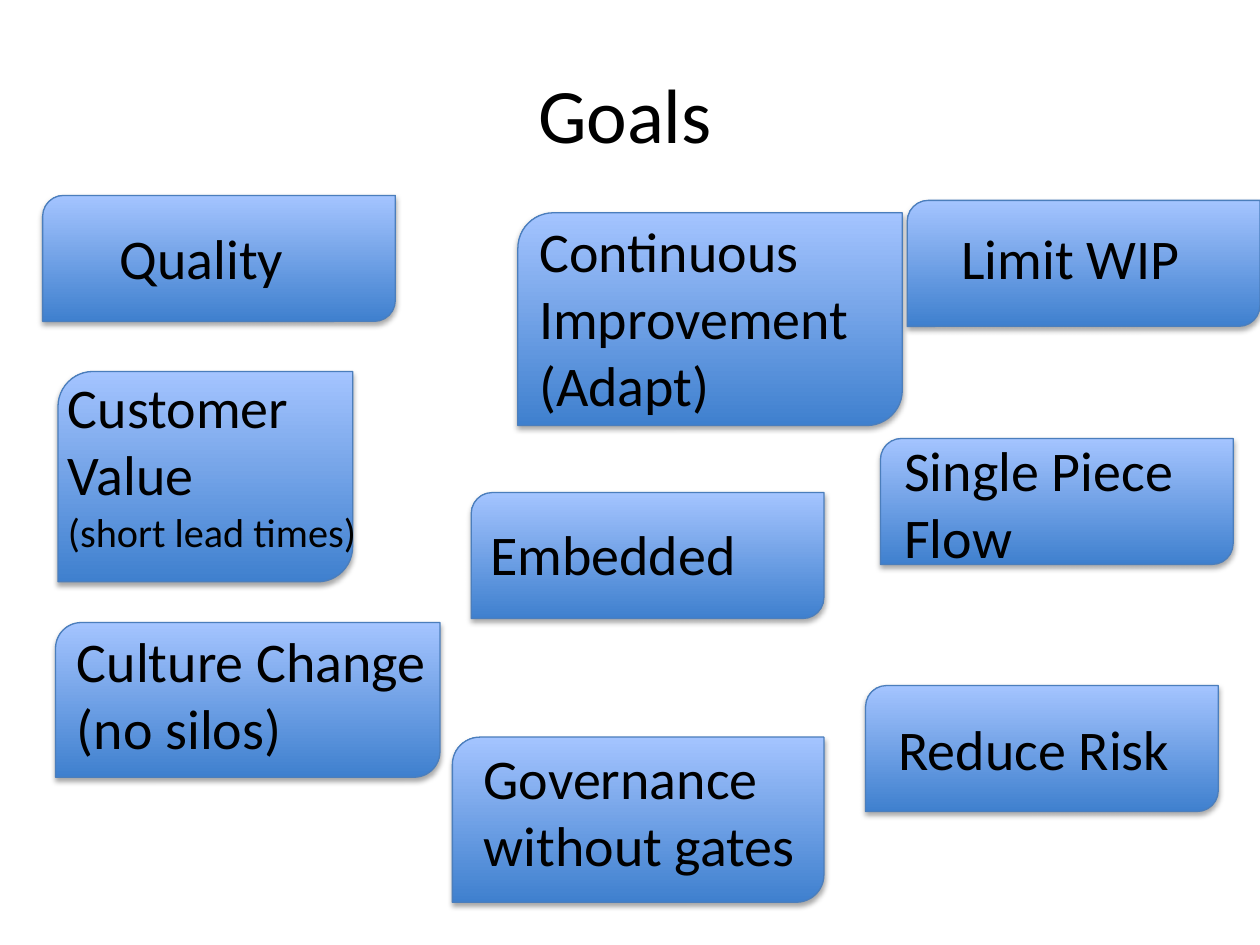
from lxml import etree
from pptx import Presentation
from pptx import util as u
from pptx.dml.color import RGBColor
from pptx.enum import shapes, text
from pptx.oxml import ns

BLACK = RGBColor(0x00, 0x00, 0x00)
DEEP_BLUE = RGBColor(0x3F, 0x80, 0xCE)
PALE_BLUE = RGBColor(0xA4, 0xC4, 0xFF)
EDGE_BLUE = RGBColor(0x4B, 0x7E, 0xBC)

LARGE, SMALL = 32, 23
PANEL = (7.11, 2.54)
ONE_LINE = (7.11, 1.63)
TWO_LINES = (7.11, 3)

GOALS = [
    ((0.86, 3.94, *PANEL), (2.16, 4.39, 4.14, 2.16), [("Quality", LARGE)]),
    ((17.45, 13.82, *PANEL), (17.86, 14.27, *ONE_LINE), [("Reduce Risk", LARGE)]),
    ((1.12, 12.55, 7.75, 3.12), (1.3, 12.5, 8.51, 3),
     [("Culture Change (no silos)", LARGE)]),
    ((10.44, 4.29, 7.75, 4.29), (10.62, 4.24, 8.51, 4.37),
     [("Continuous Improvement", LARGE), ("(Adapt)", LARGE)]),
    ((1.17, 7.49, 5.94, 4.24), (1.12, 7.39, 6.43, 3.99),
     [("Customer", LARGE), ("Value", LARGE), ("(short lead times)", SMALL)]),
    ((9.5, 9.93, *PANEL), (9.63, 10.34, *ONE_LINE), [("Embedded", LARGE)]),
    ((9.12, 14.86, 7.49, 3.33), (9.5, 14.86, *TWO_LINES),
     [("Governance without gates", LARGE)]),
    ((17.75, 8.84, *PANEL), (17.98, 8.66, *TWO_LINES), [("Single Piece Flow", LARGE)]),
    ((18.29, 4.04, *PANEL), (19.13, 4.39, 5.77, 1.63), [("Limit WIP", LARGE)]),
]


def apply(target, values):
    for name, value in values.items():
        setattr(target, name, value)


def lengths(box):
    return [u.Cm(value) for value in box]


class GoalSlide:
    font_name = "Calibri"

    def __init__(self, slide):
        self.slide = slide

    def style_font(self, font, size):
        apply(font, {"name": self.font_name, "size": u.Pt(size)})
        font.color.rgb = BLACK

    def title(self, box, wording, size):
        shape = self.slide.shapes.title
        apply(shape, dict(zip(("left", "top", "width", "height"), lengths(box))))
        shape.text_frame.vertical_anchor = text.MSO_ANCHOR.MIDDLE
        paragraph = shape.text_frame.paragraphs[0]
        apply(paragraph, {"text": wording, "alignment": text.PP_ALIGN.CENTER})
        self.style_font(paragraph.runs[0].font, size)

    def panel(self, box):
        shape = self.slide.shapes.add_shape(
            shapes.MSO_SHAPE.ROUND_2_DIAG_RECTANGLE, *lengths(box))
        shape.fill.gradient()
        shape.fill.gradient_angle = 90
        for stop, color, position in zip(
                shape.fill.gradient_stops, (DEEP_BLUE, PALE_BLUE), (0, 1)):
            stop.color.rgb = color
            stop.position = position
        shape.line.color.rgb = EDGE_BLUE
        shape.line.width = u.Pt(0.75)
        self.shadow(shape)

    def shadow(self, shape):
        shape.shadow.inherit = False
        effects = shape._element.spPr.find(ns.qn("a:effectLst"))
        outer = etree.SubElement(
            effects, ns.qn("a:outerShdw"), blurRad="40000", dist="23000",
            dir="5400000", rotWithShape="0")
        color = etree.SubElement(outer, ns.qn("a:srgbClr"), val=str(BLACK))
        etree.SubElement(color, ns.qn("a:alpha"), val="35000")

    def label(self, box, lines):
        frame = self.slide.shapes.add_textbox(*lengths(box)).text_frame
        apply(frame, {"word_wrap": True,
                      "auto_size": text.MSO_AUTO_SIZE.SHAPE_TO_FIT_TEXT})
        for index, (wording, size) in enumerate(lines):
            paragraph = frame.add_paragraph() if index else frame.paragraphs[0]
            paragraph.text = wording
            self.style_font(paragraph.runs[0].font, size)


def main():
    presentation = Presentation()
    apply(presentation, {"slide_width": u.Cm(25.4), "slide_height": u.Cm(19.05)})
    slide = presentation.slides.add_slide(presentation.slide_layouts[5])
    goals = GoalSlide(slide)
    goals.title((1.17, 0.69, 22.86, 3.18), "Goals", 44)
    for panel_box, label_box, lines in GOALS:
        goals.panel(panel_box)
        goals.label(label_box, lines)
    presentation.save("out.pptx")


if __name__ == "__main__":
    main()
